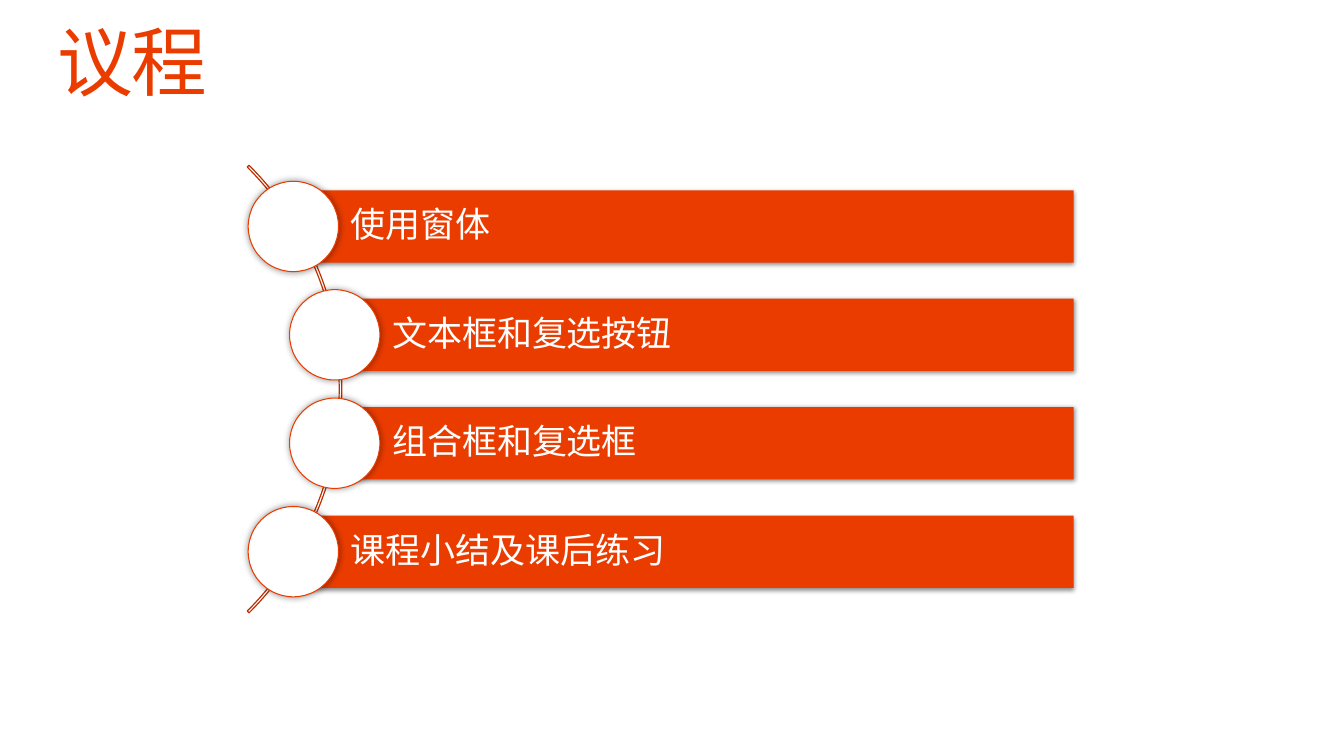
"""Build the agenda slide: a curved timeline with four topic bars."""
from lxml.etree import SubElement
from pptx import Presentation
from pptx.dml.color import RGBColor
from pptx.enum.shapes import MSO_SHAPE as Shape
from pptx.enum.text import MSO_ANCHOR as Anchor
from pptx.oxml.ns import qn
from pptx.util import Inches, Pt

TITLE = "议程"
TOPICS = [("使用窗体", 2.91), ("文本框和复选按钮", 3.32),
          ("组合框和复选框", 3.32), ("课程小结及课后练习", 2.91)]
ORANGE, RUST, WHITE = "EB3C00", "BC3000", "FFFFFF"
BAR_SHADOW = {"alpha": 45, "blur": 3.5, "dist": 1.1}
NODE_SHADOW = {"alpha": 40, "blur": 5, "dist": 0}
TITLE_FONT = {"name": "Cabin", "size": Pt(54)}
TOPIC_FONT = {"name": "Noto Sans CJK SC", "size": Pt(25)}

MIDDLE, RIGHT = 3.86, 10.65
BAR = 0.717
PITCH = BAR * 1.5
NODE = BAR * 1.25
ARC_LEFT, ARC = -2.89, 6.28


def color(value):
    return RGBColor.from_string(value)


def add_shadow(shape, alpha, blur, dist):
    effects = shape._element.spPr.find(qn("a:effectLst"))
    outer = SubElement(effects, qn("a:outerShdw"), blurRad=str(Pt(blur)),
                       dist=str(Pt(dist)), dir="5400000", algn="ctr", rotWithShape="0")
    tint = SubElement(outer, qn("a:srgbClr"), val="000000")
    SubElement(tint, qn("a:alpha"), val=str(alpha * 1000))


def add_shape(kind, left, top, width, height, fill=None, line=None, weight=0.75, shadow=None):
    shape = page.shapes.add_shape(kind, *map(Inches, (left, top, width, height)))
    shape.shadow.inherit = False
    for part, value in ((shape.fill, fill), (shape.line.fill, line)):
        if value:
            part.solid()
            part.fore_color.rgb = color(value)
        else:
            part.background()
    if line:
        shape.line.width = Pt(weight)
    if shadow:
        add_shadow(shape, **shadow)
    return shape


def write(box, text, font, ink, margins, anchor):
    frame = box.text_frame
    settings = dict(zip(("margin_left", "margin_top", "margin_right", "margin_bottom"),
                        map(Inches, margins)), word_wrap=True, vertical_anchor=anchor)
    for name, value in settings.items():
        setattr(frame, name, value)
    para = frame.paragraphs[0]
    para.alignment, para.line_spacing = 1, 0.9
    span = para.add_run()
    span.text = text
    for name, value in font.items():
        setattr(span.font, name, value)
    span.font.color.rgb = color(ink)
    SubElement(span.font._element, qn("a:ea"), typeface=font["name"])
    return span


deck = Presentation()
deck.slide_width, deck.slide_height = Inches(13.33), Inches(7.5)
page = deck.slides.add_slide(deck.slide_layouts[6])

title = page.shapes.add_textbox(*map(Inches, (0.57, 0.25, 12.19, 0.82)))
heading = write(title, TITLE, TITLE_FONT, ORANGE, (0, 0, 0, 0), Anchor.TOP)
heading.font._element.set("spc", "-100")

arc = add_shape(Shape.BLOCK_ARC, ARC_LEFT, MIDDLE - ARC / 2, ARC, ARC, line=RUST, weight=0.85)
for index, share in enumerate((189, 27, 0.004)):
    arc.adjustments[index] = share

for row, (topic, left) in enumerate(TOPICS):
    center = MIDDLE + (row - (len(TOPICS) - 1) / 2) * PITCH
    bar = add_shape(Shape.RECTANGLE, left, center - BAR / 2, RIGHT - left, BAR,
                    fill=ORANGE, shadow=BAR_SHADOW)
    write(bar, topic, TOPIC_FONT, WHITE, (0.57, 0.07, 0.07, 0.07), Anchor.MIDDLE)
    add_shape(Shape.OVAL, left - NODE / 2, center - NODE / 2, NODE, NODE,
              fill=WHITE, line=ORANGE, shadow=NODE_SHADOW)

deck.save("out.pptx")
